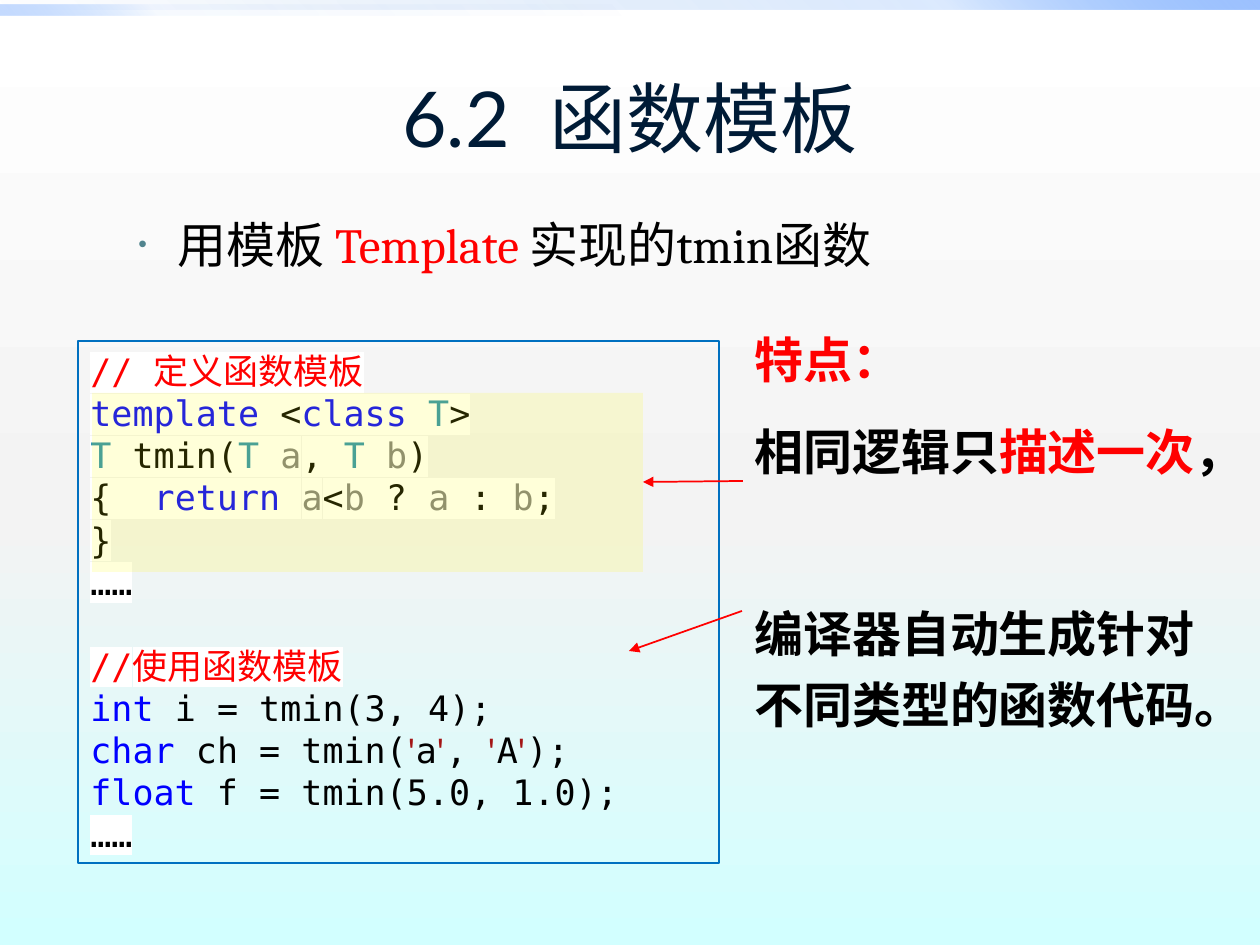
from lxml.etree import SubElement
from pptx import Presentation
from pptx.dml.color import RGBColor
from pptx.enum.shapes import MSO_CONNECTOR, MSO_SHAPE
from pptx.enum.text import MSO_ANCHOR, PP_ALIGN
from pptx.oxml.ns import qn
from pptx.util import Pt

EMU_PER_PX = 914400 / 126
CJK = "Noto Sans CJK SC"
MONO = "DejaVu Sans Mono"
COLORS = {
    "plain": "000000", "red": "FF0000", "navy": "001B36", "bullet": "51848E",
    "keyword": "0000FF", "type": "2B91AF", "argument": "808080",
    "quote": "A31515", "white": "FFFFFF", "frame": "0070C0",
    "yellow": "FFFF00", "mist": "F3F3F3", "aqua": "D2FFFF",
    "deep": "0058B7", "blue": "4F95FF", "sky": "9EC2FF",
}

DEFINITION = [
    [("// 定义函数模板", "red")],
    [("template", "keyword"), (" <", "plain"), ("class", "keyword"),
     (" ", "plain"), ("T", "type"), (">", "plain")],
    [("T", "type"), (" tmin(", "plain"), ("T", "type"), (" ", "plain"),
     ("a", "argument"), (", ", "plain"), ("T", "type"), (" ", "plain"),
     ("b", "argument"), (")", "plain")],
    [("{  ", "plain"), ("return", "keyword"), (" ", "plain"),
     ("a", "argument"), ("<", "plain"), ("b", "argument"), (" ? ", "plain"),
     ("a", "argument"), (" : ", "plain"), ("b", "argument"), (";", "plain")],
    [("}", "plain")],
    [("……", "plain")],
]
USAGE_HEADING = [("//使用函数模板", "red")]
USAGE = [
    [("int ", "keyword"), ("i = tmin(3, 4);", "plain")],
    [("char", "keyword"), (" ch = tmin(", "plain"), ("'", "quote"),
     ("a", "plain"), ("'", "quote"), (", ", "plain"), ("'", "quote"),
     ("A", "plain"), ("'", "quote"), (");", "plain")],
    [("float", "keyword"), (" f = tmin(5.0, 1.0);", "plain")],
]
CLOSING = [("……", "plain")]


def px(value):
    return round(value * EMU_PER_PX)


def color(name):
    return RGBColor.from_string(COLORS[name])


def set_gradient(fill, element, stops, angle):
    fill.gradient()
    gradient = next(element.iter(qn("a:gradFill")))
    for child in list(gradient):
        gradient.remove(child)
    stop_list = SubElement(gradient, qn("a:gsLst"))
    for position, name, alpha in stops:
        stop = SubElement(stop_list, qn("a:gs"), pos=str(position * 1000))
        tint = SubElement(stop, qn("a:srgbClr"), val=COLORS[name])
        SubElement(tint, qn("a:alpha"), val=str(alpha * 1000))
    SubElement(gradient, qn("a:lin"), ang=str(angle * 60000), scaled="0")


def add_rectangle(page, left, top, width, height):
    shape = page.shapes.add_shape(
        MSO_SHAPE.RECTANGLE, px(left), px(top), px(width), px(height))
    shape.shadow.inherit = False
    shape.fill.background()
    shape.line.fill.background()
    return shape


def add_top_bar(page, bounds, alphas, angle):
    bar = add_rectangle(page, *bounds)
    stops = zip((0, 75, 100), ("deep", "blue", "sky"), alphas)
    set_gradient(bar.fill, bar.element, stops, angle)


def add_text_box(page, left, top, width, height, anchor=MSO_ANCHOR.TOP):
    box = page.shapes.add_textbox(px(left), px(top), px(width), px(height))
    frame = box.text_frame
    frame.word_wrap = True
    frame.vertical_anchor = anchor
    return box


def next_paragraph(frame):
    first = frame.paragraphs[0]
    return frame.add_paragraph() if first.runs else first


def add_span(para, text, name, size, font, east_asian=CJK, bold=False, highlight=False):
    span = para.add_run()
    span.text = text
    span.font.size = Pt(size)
    span.font.bold = bold
    span.font.name = font
    span.font.color.rgb = color(name)
    properties = span.font._element
    if highlight:
        marker = SubElement(properties, qn("a:highlight"))
        SubElement(marker, qn("a:srgbClr"), val=COLORS["white"])
        properties.find(qn("a:solidFill")).addnext(marker)
    ideographs = SubElement(properties, qn("a:ea"), typeface=east_asian)
    properties.find(qn("a:latin")).addnext(ideographs)


def add_bullet(para, left, hanging):
    properties = para._p.get_or_add_pPr()
    properties.set("marL", str(px(left)))
    properties.set("indent", str(-px(hanging)))
    tint = SubElement(properties, qn("a:buClr"))
    SubElement(tint, qn("a:srgbClr"), val=COLORS["bullet"])
    SubElement(properties, qn("a:buSzPct"), val="50000")
    SubElement(properties, qn("a:buFont"), typeface="Arial")
    SubElement(properties, qn("a:buChar"), char="•")


def add_code_line(frame, tokens, highlight=False, space_before=0):
    para = next_paragraph(frame)
    para.alignment = PP_ALIGN.LEFT
    para.line_spacing = Pt(24)
    para.space_before = Pt(space_before)
    for text, name in tokens:
        size, font = (18, CJK) if name == "quote" else (20, MONO)
        add_span(para, text, name, size, font, font, highlight=highlight)


def add_code(page):
    box = add_rectangle(page, 78, 341, 641, 522)
    box.line.color.rgb = color("frame")
    box.line.width = Pt(0.75)
    frame = box.text_frame
    frame.word_wrap = True
    frame.vertical_anchor = MSO_ANCHOR.MIDDLE
    for tokens in DEFINITION:
        add_code_line(frame, tokens, highlight=True)
    add_code_line(frame, USAGE_HEADING, highlight=True, space_before=24)
    for tokens in USAGE:
        add_code_line(frame, tokens)
    add_code_line(frame, CLOSING, highlight=True)

    band = add_rectangle(page, 92, 393, 551, 179)
    band.fill.solid()
    band.fill.fore_color.rgb = color("yellow")
    tint = next(band.element.spPr.iter(qn("a:srgbClr")))
    SubElement(tint, qn("a:alpha"), val="15000")


def add_features(page):
    frame = add_text_box(page, 742, 306, 493, 432).text_frame
    frame.margin_top = px(11)
    paragraphs = [
        (0, [("特点：", "red")]),
        (6, [("相同逻辑只", "plain"), ("描述一次", "red"), ("，", "plain")]),
        (58, [("编译器自动生成针对不同类型的函数代码。", "plain")]),
    ]
    for space_before, spans in paragraphs:
        para = next_paragraph(frame)
        para.line_spacing = Pt(40.5)
        para.space_before = Pt(space_before)
        para.space_after = Pt(6)
        for text, name in spans:
            add_span(para, text, name, 28, CJK, bold=True)


def add_arrow(page, start, end):
    arrow = page.shapes.add_connector(
        MSO_CONNECTOR.STRAIGHT, *map(px, start + end))
    arrow.line.color.rgb = color("red")
    arrow.line.width = Pt(1)
    SubElement(arrow.line._get_or_add_ln(), qn("a:tailEnd"), type="triangle")
    SubElement(arrow._element.spPr, qn("a:effectLst"))


def main():
    deck = Presentation()
    deck.slide_width, deck.slide_height = px(1260), px(945)
    page = deck.slides.add_slide(deck.slide_layouts[6])
    set_gradient(page.background.fill, page._element,
                 [(0, "white", 100), (55, "mist", 100), (100, "aqua", 100)], 90)
    add_top_bar(page, (0, 0, 1260, 10), (0, 20, 100), 315)
    add_top_bar(page, (0, 5, 630, 10), (0, 5, 60), 135)

    title = add_text_box(page, 63, 38, 1134, 158, MSO_ANCHOR.MIDDLE)
    para = title.text_frame.paragraphs[0]
    para.alignment = PP_ALIGN.CENTER
    add_span(para, "6.2  函数模板", "navy", 44, "Lato")

    body = add_text_box(page, 63, 220, 1134, 624)
    para = body.text_frame.paragraphs[0]
    add_bullet(para, 102, 39)
    para.line_spacing = 0.8
    for text, name in [("用模板 ", "plain"), ("Template ", "red"), ("实现的tmin函数", "plain")]:
        add_span(para, text, name, 28, "Cambria")

    add_features(page)
    add_code(page)
    add_arrow(page, (742, 611), (629, 651))
    add_arrow(page, (743, 481), (643, 482))
    deck.save("out.pptx")


if __name__ == "__main__":
    main()
